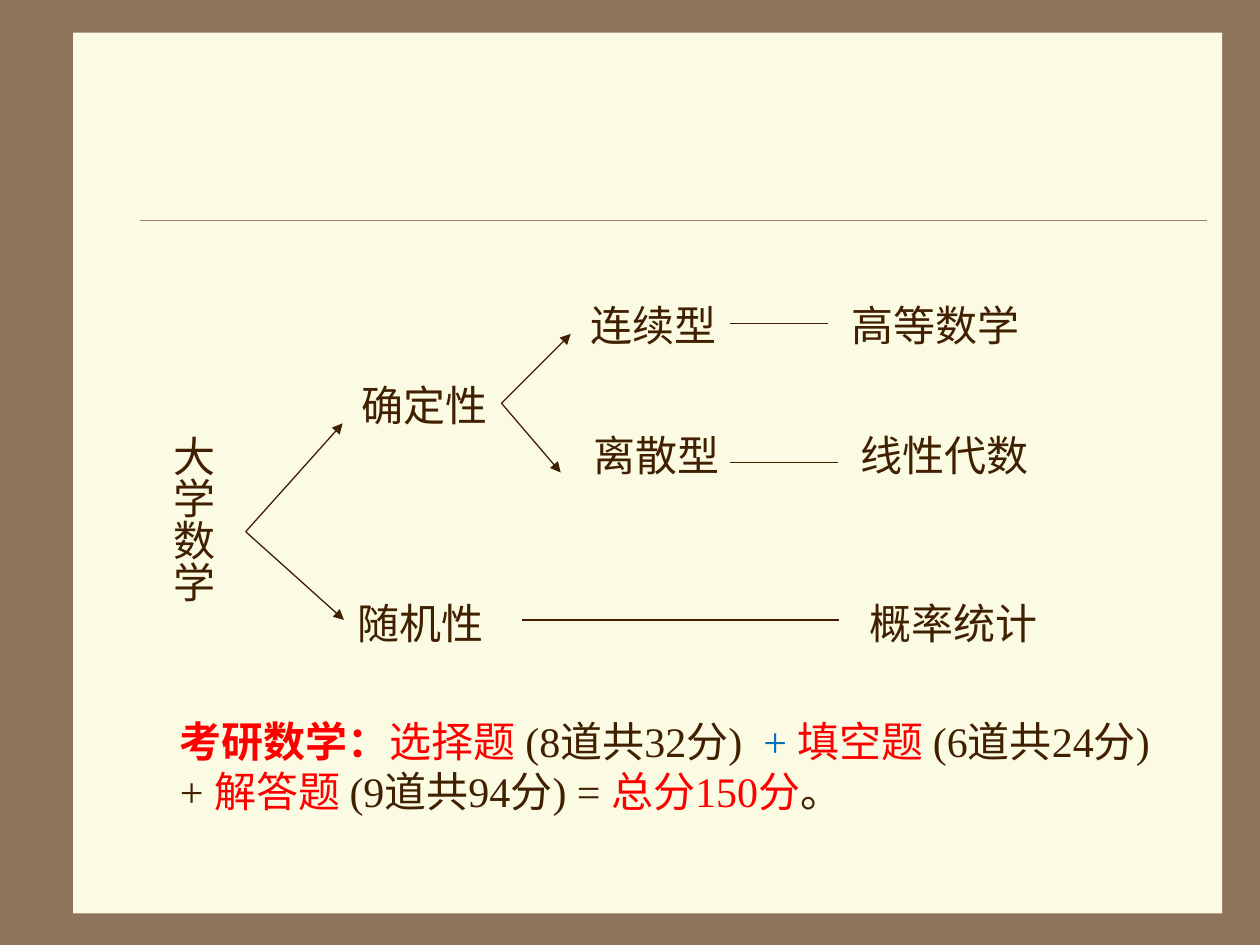
from dataclasses import dataclass

from lxml.etree import SubElement
from pptx import Presentation
from pptx.dml.color import RGBColor
from pptx.enum.shapes import MSO_CONNECTOR, MSO_SHAPE
from pptx.enum.text import MSO_AUTO_SIZE
from pptx.oxml.ns import qn
from pptx.util import Inches, Pt


@dataclass(frozen=True)
class Theme:
    """Colours, font and sizes of the slide."""

    frame: str = "8C735A"
    paper: str = "FBFAE2"
    rule: str = "A08366"
    ink: str = "402000"
    red: str = "FF0000"
    blue: str = "0070C0"
    font: str = "Times New Roman"
    text_size: float = 24
    line_width: float = 0.75
    rule_width: float = 0.25


THEME = Theme()
LABEL_HEIGHT = 0.5
LABEL_WIDTHS = {3: 1.2, 4: 1.53}
ROOT_FORK = (1.95, 4.22)
CERTAIN_FORK = (3.98, 3.2)

LABELS = [
    ("确定性", 2.77, 2.96),
    ("连续型", 4.59, 2.33),
    ("高等数学", 6.66, 2.33),
    ("离散型", 4.61, 3.36),
    ("线性代数", 6.73, 3.36),
    ("随机性", 2.74, 4.69),
    ("概率统计", 6.8, 4.69),
]
ARROWS = [
    (ROOT_FORK, (2.72, 3.36)),
    (ROOT_FORK, (2.73, 4.92)),
    (CERTAIN_FORK, (4.53, 2.65)),
    (CERTAIN_FORK, (4.45, 3.75)),
]
LINKS = [(5.79, 6.57, 2.57), (5.79, 6.65, 3.67), (4.14, 6.66, 4.92)]
EXAM_SPANS = [
    ("考研数学：", THEME.red, True),
    ("选择题 ", THEME.red, False),
    ("(8道共32分)  ", THEME.ink, False),
    ("+ ", THEME.blue, False),
    ("填空题 ", THEME.red, False),
    ("(6道共24分) + ", THEME.ink, False),
    ("解答题 ", THEME.red, False),
    ("(9道共94分) = ", THEME.ink, False),
    ("总分150分", THEME.red, False),
    ("。", THEME.ink, False),
]


def colour(value):
    """Turn a hex string into a colour."""
    return RGBColor.from_string(value)


def add_paper(page):
    """Paint the frame colour and the sheet on it."""
    background = page.background.fill
    background.solid()
    background.fore_color.rgb = colour(THEME.frame)
    sheet = page.shapes.add_shape(
        MSO_SHAPE.RECTANGLE, Inches(0.58), Inches(0.26), Inches(9.12), Inches(6.99)
    )
    sheet.shadow.inherit = False
    sheet.fill.solid()
    sheet.fill.fore_color.rgb = colour(THEME.paper)
    sheet.line.fill.background()


def add_line(page, start, end, tint=THEME.ink, width=THEME.line_width, arrow=False):
    """Draw a straight line, with an arrowhead at its end if asked."""
    points = [Inches(value) for value in (*start, *end)]
    line = page.shapes.add_connector(MSO_CONNECTOR.STRAIGHT, *points)
    line.line.color.rgb = colour(tint)
    line.line.width = Pt(width)
    if arrow:
        SubElement(line.line._get_or_add_ln(), qn("a:tailEnd"), type="triangle")
    SubElement(line._element.spPr, qn("a:effectLst"))


def add_text(page, place, spans, wrap=True, vertical=False):
    """Add a text box with one paragraph of (text, colour, bold) spans."""
    box = page.shapes.add_textbox(*[Inches(value) for value in place])
    frame = box.text_frame
    frame.word_wrap = wrap
    frame.auto_size = MSO_AUTO_SIZE.SHAPE_TO_FIT_TEXT
    side, end = (0.05, 0.1) if vertical else (0.1, 0.05)
    frame.margin_left = frame.margin_right = Inches(side)
    frame.margin_top = frame.margin_bottom = Inches(end)
    if vertical:
        frame._txBody.bodyPr.set("vert", "eaVert")
    para = frame.paragraphs[0]
    para.font.name = THEME.font
    para.font.size = Pt(THEME.text_size)
    for text, tint, bold in spans:
        span = para.add_run()
        span.text = text
        span.font.color.rgb = colour(tint)
        span.font.bold = bold


def add_label(page, text, left, top):
    """Add a one-line label of the diagram."""
    place = (left, top, LABEL_WIDTHS[len(text)], LABEL_HEIGHT)
    add_text(page, place, [(text, THEME.ink, False)], wrap=False)


def main():
    """Build and save the deck."""
    deck = Presentation()
    deck.slide_width, deck.slide_height = Inches(10), Inches(7.5)
    page = deck.slides.add_slide(deck.slide_layouts[6])
    add_paper(page)
    add_line(page, (1.11, 1.75), (9.58, 1.75), THEME.rule, THEME.rule_width)
    add_text(page, (0.78, 3.36, 1, 1.65), [("大学数学", THEME.ink, False)], vertical=True)
    for text, left, top in LABELS:
        add_label(page, text, left, top)
    for start, end in ARROWS:
        add_line(page, start, end, arrow=True)
    for left, right, height in LINKS:
        add_line(page, (left, height), (right, height))
    add_text(page, (1.33, 5.63, 8.13, 0.9), EXAM_SPANS)
    deck.save("out.pptx")


if __name__ == "__main__":
    main()
